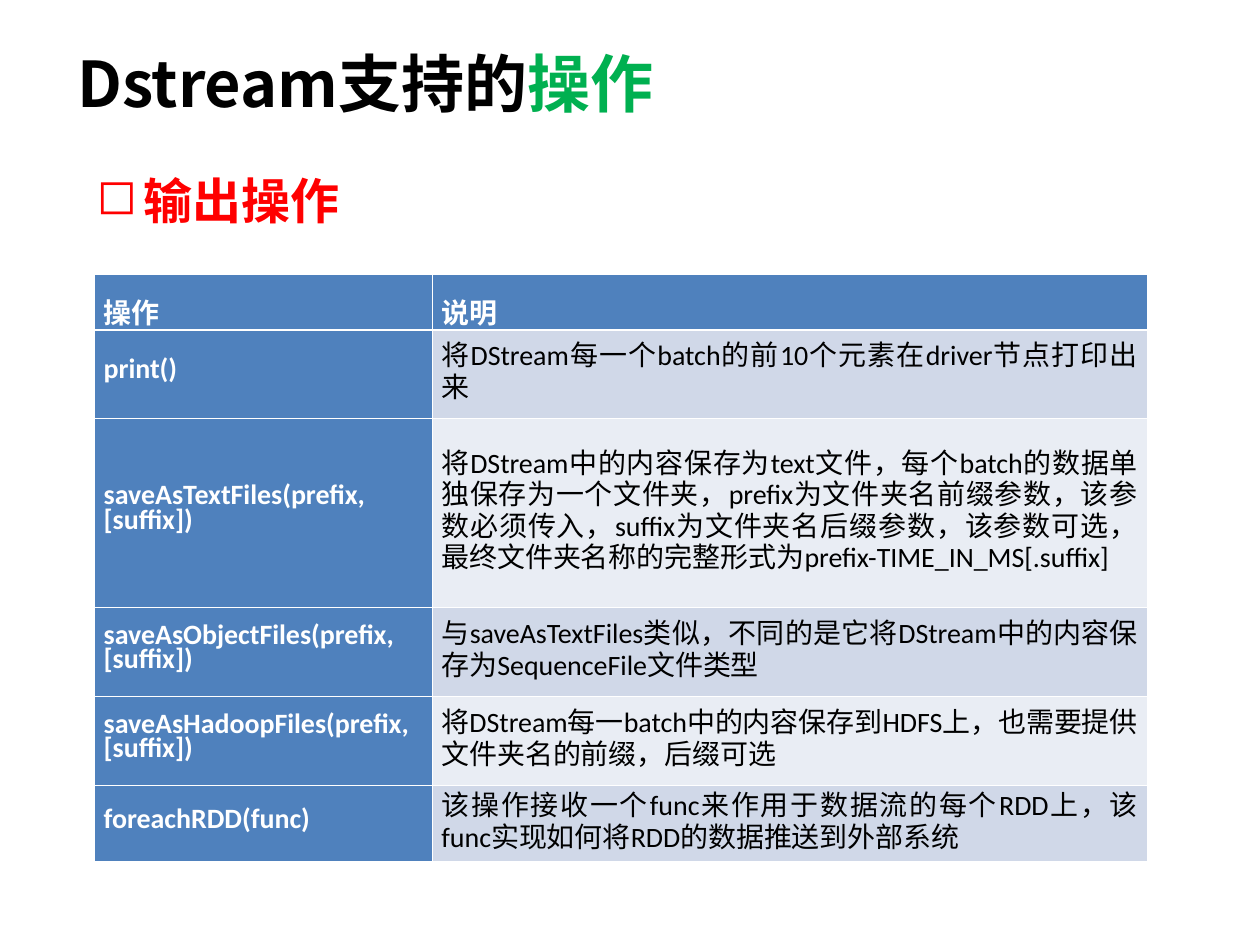
"""Build the slide listing the output operations supported by DStream."""
from lxml.etree import SubElement
from pptx import Presentation
from pptx.dml.color import RGBColor
from pptx.enum.text import MSO_ANCHOR, MSO_AUTO_SIZE, PP_ALIGN
from pptx.oxml import parse_xml
from pptx.oxml.ns import nsdecls, qn
from pptx.util import Cm, Pt

BLACK = RGBColor(0x00, 0x00, 0x00)
WHITE = RGBColor(0xFF, 0xFF, 0xFF)
RED = RGBColor(0xFF, 0x00, 0x00)
GREEN = RGBColor(0x00, 0xB0, 0x50)
BLUE = RGBColor(0x4F, 0x81, 0xBD)
BAND_DARK = RGBColor(0xD0, 0xD8, 0xE8)
BAND_LIGHT = RGBColor(0xE9, 0xED, 0xF4)

COLUMN_WIDTHS = [6.81, 14.4]
ROW_HEIGHTS = [0.84, 1.78, 3.81, 1.8, 1.8, 1.27]
OPERATIONS = [
    ("操作", "说明"),
    ("print()", "将DStream每一个batch的前10个元素在driver节点打印出来"),
    ("saveAsTextFiles(prefix, [suffix])",
     "将DStream中的内容保存为text文件，每个batch的数据单独保存为一个文件夹，"
     "prefix为文件夹名前缀参数，该参数必须传入，suffix为文件夹名后缀参数，该参数可选，"
     "最终文件夹名称的完整形式为prefix-TIME_IN_MS[.suffix]"),
    ("saveAsObjectFiles(prefix, [suffix])",
     "与saveAsTextFiles类似，不同的是它将DStream中的内容保存为SequenceFile文件类型"),
    ("saveAsHadoopFiles(prefix, [suffix])",
     "将DStream每一batch中的内容保存到HDFS上，也需要提供文件夹名的前缀，后缀可选"),
    ("foreachRDD(func)",
     "该操作接收一个func来作用于数据流的每个RDD上，该func实现如何将RDD的数据推送到外部系统"),
]


def set_font(font, name, size, color, bold):
    font.name, font.size, font.bold = name, Pt(size), bold
    font.color.rgb = color


def add_borders(cell, widths):
    properties = cell._tc.get_or_add_tcPr()
    for position, (side, width) in enumerate(widths.items()):
        properties.insert(position, parse_xml(
            f'<a:ln{side} {nsdecls("a")} w="{Pt(width)}"><a:solidFill>'
            f'<a:srgbClr val="{WHITE}"/></a:solidFill></a:ln{side}>'))


presentation = Presentation()
presentation.slide_width, presentation.slide_height = Cm(25.4), Cm(19.05)
slide = presentation.slides.add_slide(presentation.slide_layouts[5])

title = slide.shapes.title
title.left, title.top, title.width, title.height = Cm(1.3), Cm(0.76), Cm(22.86), Cm(3.18)
title.text_frame.vertical_anchor = MSO_ANCHOR.TOP
title.text_frame.auto_size = MSO_AUTO_SIZE.NONE
heading = title.text_frame.paragraphs[0]
heading.alignment = PP_ALIGN.LEFT
for words, color in [("Dstream支持的", BLACK), ("操作", GREEN)]:
    run = heading.add_run()
    run.text = words
    set_font(run.font, "Noto Sans CJK SC", 36, color, True)

subtitle = slide.shapes.add_textbox(Cm(1.7), Cm(3.94), Cm(23.01), Cm(1.8))
subtitle.text_frame.word_wrap = True
output_heading = subtitle.text_frame.paragraphs[0]
output_heading.text = "输出操作"
output_heading.alignment = PP_ALIGN.JUSTIFY
output_heading.line_spacing = Pt(16)
output_heading.space_before = output_heading.space_after = Pt(6)
bullet = output_heading._p.get_or_add_pPr()
bullet.set("marL", str(Cm(0.95)))
bullet.set("indent", str(Cm(-0.95)))
SubElement(SubElement(bullet, qn("a:buClr")), qn("a:srgbClr")).set("val", str(RED))
SubElement(bullet, qn("a:buChar")).set("char", "◻")
set_font(output_heading.font, "Noto Sans CJK SC", 28, RED, True)

operations = slide.shapes.add_table(
    len(OPERATIONS), len(COLUMN_WIDTHS), Cm(1.91), Cm(5.54),
    Cm(sum(COLUMN_WIDTHS)), Cm(sum(ROW_HEIGHTS))).table
for column, width in zip(operations.columns, COLUMN_WIDTHS):
    column.width = Cm(width)
for row, height in zip(operations.rows, ROW_HEIGHTS):
    row.height = Cm(height)

for row_index, entries in enumerate(OPERATIONS):
    for column_index, words in enumerate(entries):
        is_header = row_index == 0
        is_label = is_header or column_index == 0
        cell = operations.cell(row_index, column_index)
        cell.vertical_anchor = MSO_ANCHOR.MIDDLE
        cell.margin_left = cell.margin_right = Cm(0.18)
        cell.margin_top = cell.margin_bottom = Cm(0.13)
        cell.fill.solid()
        band = BAND_DARK if row_index % 2 else BAND_LIGHT
        cell.fill.fore_color.rgb = BLUE if is_label else band
        add_borders(cell, {"L": 0.45, "R": 0.45,
                           "T": 1.47 if row_index == 1 else 0.45,
                           "B": 1.47 if is_header else 0.45})
        entry = cell.text_frame.paragraphs[0]
        entry.text = words
        entry.alignment = PP_ALIGN.JUSTIFY
        entry.line_spacing = 1.25 if is_header else Pt(14 if is_label else 18)
        set_font(entry.font, "Calibri", 16, WHITE if is_label else BLACK, is_label)

presentation.save("out.pptx")
